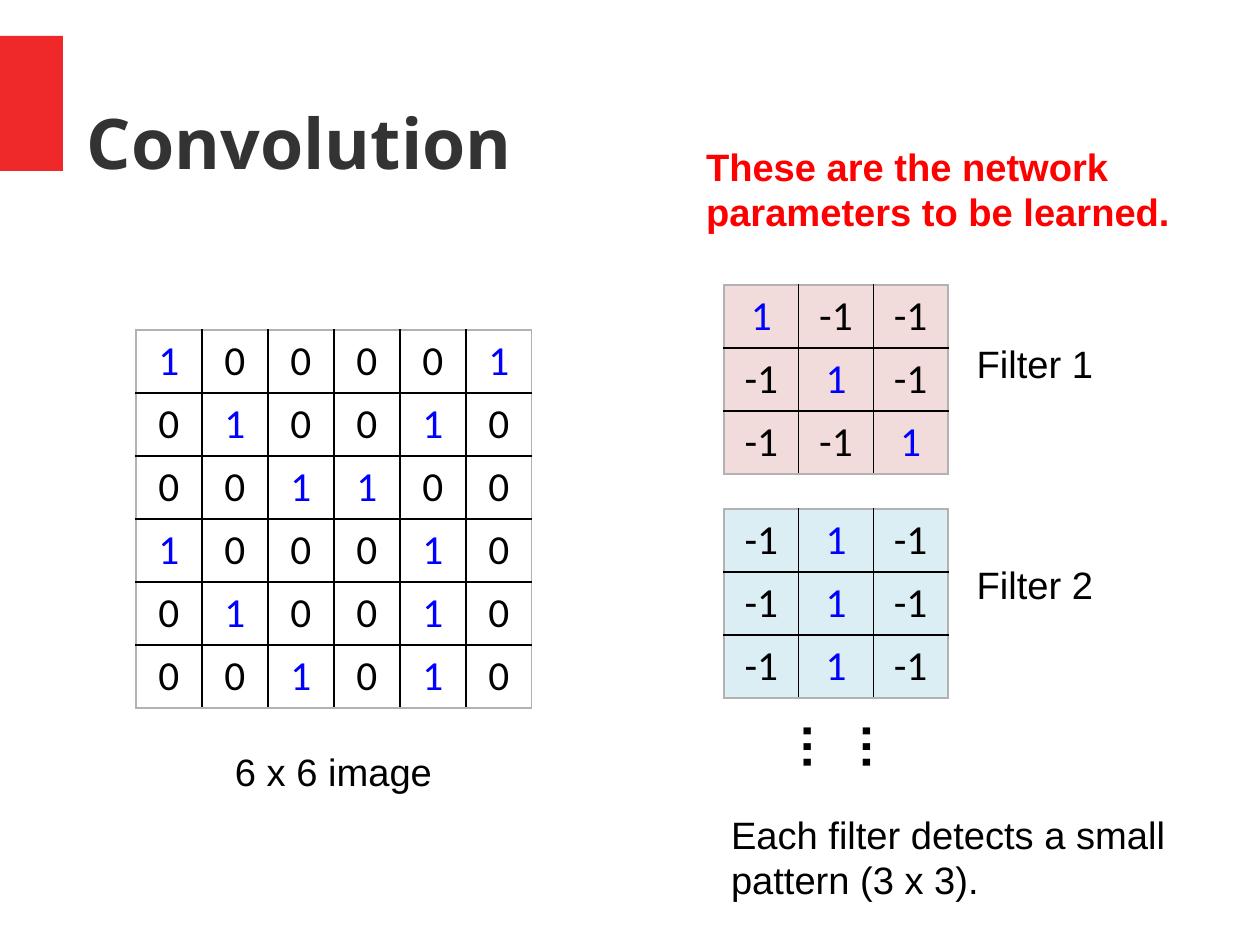
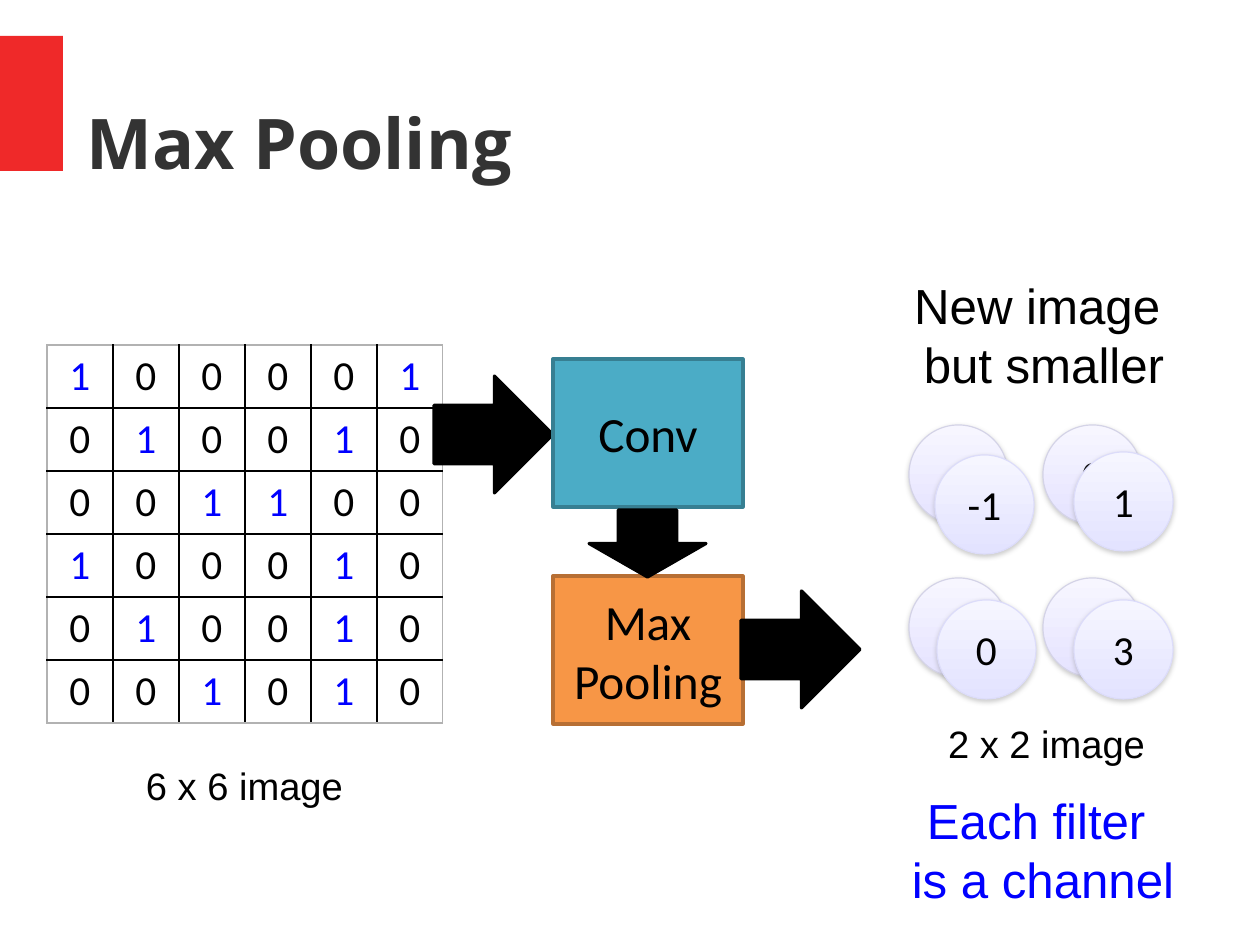
from lxml.etree import SubElement
from pptx import Presentation
from pptx.dml.color import RGBColor
from pptx.enum.shapes import MSO_SHAPE
from pptx.enum.text import MSO_ANCHOR, PP_ALIGN
from pptx.oxml.ns import qn
from pptx.util import Emu, Pt

# Scale: EMU in one px
PX = 8000
SLIDE_SIZE = (1260, 945)

# Colours
RED_BAND = RGBColor(0xEF, 0x29, 0x29)
TITLE_GREY = RGBColor(0x33, 0x33, 0x33)
BLACK = RGBColor(0x00, 0x00, 0x00)
BLUE = RGBColor(0x00, 0x00, 0xFF)
RED = RGBColor(0xFF, 0x00, 0x00)
EDGE_GREY = RGBColor(0xB2, 0xB2, 0xB2)
PINK = RGBColor(0xF2, 0xDC, 0xDB)
PALE_BLUE = RGBColor(0xDB, 0xEE, 0xF4)
TEAL, TEAL_LINE = RGBColor(0x4B, 0xAC, 0xC6), RGBColor(0x37, 0x7F, 0x92)
ORANGE, ORANGE_LINE = RGBColor(0xF7, 0x96, 0x46), RGBColor(0xB7, 0x6F, 0x34)
# Gradient top, gradient bottom, outline
BACK_CHANNEL = (RGBColor(0xF7, 0xF6, 0xFF), RGBColor(0xE5, 0xE3, 0xFF), RGBColor(0xD4, 0xD3, 0xE7))
FRONT_CHANNEL = (RGBColor(0xF6, 0xF6, 0xFF), RGBColor(0xE3, 0xE3, 0xFF), RGBColor(0xDC, 0xDC, 0xFA))

TITLE_FONT, BODY_FONT, NUMBER_FONT = "Open Sans", "Arial", "Calibri"
ROW_HEIGHT = 63
CIRCLE_SIZE = 99

# Content
IMAGE = [
    (1, 0, 0, 0, 0, 1),
    (0, 1, 0, 0, 1, 0),
    (0, 0, 1, 1, 0, 0),
    (1, 0, 0, 0, 1, 0),
    (0, 1, 0, 0, 1, 0),
    (0, 0, 1, 0, 1, 0),
]
# Name, values, fill, table top, label top
FILTERS = [
    ("Filter 1", [(1, -1, -1), (-1, 1, -1), (-1, -1, 1)], PINK, 285, 334),
    ("Filter 2", [(-1, 1, -1)] * 3, PALE_BLUE, 509, 555),
]
# Text, left, top
BACK_CIRCLES = [("", 909, 425), ("0", 1043, 425), ("", 1043, 578), ("", 909, 578)]
FRONT_CIRCLES = [("-1", 935, 455), ("1", 1074, 452), ("3", 1074, 600), ("0", 937, 600)]
# Text, top, fill, outline
STAGES = [
    ("Conv", 359, TEAL, TEAL_LINE),
    ("Max\nPooling", 576, ORANGE, ORANGE_LINE),
]
# Box, rotation
ARROWS_AFTER_STAGES = [((741, 591, 119, 117), 0), ((614, 485, 67, 117), 90)]


def px(*lengths):
    return [Emu(length * PX) for length in lengths]


def write(frame, text, size, color=BLACK, font=BODY_FONT, bold=False,
          align=PP_ALIGN.CENTER, margins=(13, 6)):
    frame.word_wrap = True
    frame.margin_left = frame.margin_right = Emu(margins[0] * PX)
    frame.margin_top = frame.margin_bottom = Emu(margins[1] * PX)
    frame.text = text
    for paragraph in frame.paragraphs:
        paragraph.alignment = align
        for run in paragraph.runs:
            run.font.size = Pt(size)
            run.font.name = font
            run.font.bold = bold
            run.font.color.rgb = color


def add_text(slide, box, text, size=24, **style):
    label = slide.shapes.add_textbox(*px(*box))
    write(label.text_frame, text, size, **style)
    return label


def add_block(slide, preset, box, fill, line, width=2):
    block = slide.shapes.add_shape(preset, *px(*box))
    block.shadow.inherit = False
    block.fill.solid()
    block.fill.fore_color.rgb = fill
    block.line.color.rgb = line
    block.line.width = Pt(width)
    return block


def add_circle(slide, text, left, top, colors):
    start, end, outline = colors
    circle = add_block(slide, MSO_SHAPE.OVAL, (left, top, CIRCLE_SIZE, CIRCLE_SIZE),
                       start, outline, 0.75)
    circle.fill.gradient()
    circle.fill.gradient_angle = 270
    for position, (stop, color) in enumerate(zip(circle.fill.gradient_stops, (start, end))):
        stop.color.rgb = color
        stop.position = position
    # Soft shadow below
    effects = circle._element.spPr.find(qn("a:effectLst"))
    shadow = SubElement(effects, qn("a:outerShdw"), blurRad=str(Pt(3.1)),
                        dist=str(Pt(1.6)), dir="5400000", rotWithShape="0")
    tint = SubElement(shadow, qn("a:srgbClr"), val="808080")
    SubElement(tint, qn("a:alpha"), val="38000")
    if text:
        write(circle.text_frame, text, 26, font=NUMBER_FONT)


def set_borders(cell, edges):
    props = cell._tc.get_or_add_tcPr()
    for position, (side, is_outer) in enumerate(edges):
        line = props.makeelement(qn("a:" + side), {"w": str(Pt(1))})
        fill = SubElement(line, qn("a:solidFill"))
        SubElement(fill, qn("a:srgbClr"), val=str(EDGE_GREY if is_outer else BLACK))
        props.insert(position, line)


def add_matrix(slide, values, left, top, width, fill=None):
    rows, cols = len(values), len(values[0])
    table = slide.shapes.add_table(
        rows, cols, *px(left, top, width, rows * ROW_HEIGHT)).table
    table.first_row = table.horz_banding = False
    for r, row in enumerate(values):
        for c, value in enumerate(row):
            cell = table.cell(r, c)
            write(cell.text_frame, str(value), 26, BLUE if value == 1 else BLACK,
                  NUMBER_FONT)
            cell.margin_left = cell.margin_right = Emu(13 * PX)
            cell.margin_top = cell.margin_bottom = Emu(6 * PX)
            if fill is None:
                cell.fill.background()
            else:
                cell.fill.solid()
                cell.fill.fore_color.rgb = fill
            set_borders(cell, [("lnL", c == 0), ("lnR", c == cols - 1),
                               ("lnT", r == 0), ("lnB", r == rows - 1)])


def add_titled_slide(deck, title):
    slide = deck.slides.add_slide(deck.slide_layouts[6])
    band = add_block(slide, MSO_SHAPE.RECTANGLE, (0, 36, 63, 135), RED_BAND, RED_BAND)
    band.line.fill.background()
    heading = add_text(slide, (87, 50, 1087, 183), title, 44, color=TITLE_GREY,
                       font=TITLE_FONT, bold=True, align=PP_ALIGN.LEFT, margins=(0, 0))
    heading.text_frame.vertical_anchor = MSO_ANCHOR.MIDDLE
    return slide


def build_convolution(deck):
    slide = add_titled_slide(deck, "Convolution")
    add_matrix(slide, IMAGE, 136, 330, 396)
    add_text(slide, (172, 742, 323, 59), "6 x 6 image")
    for name, values, fill, top, label_top in FILTERS:
        add_matrix(slide, values, 724, top, 224, fill)
        add_text(slide, (935, label_top, 200, 59), name)
    more_filters = add_text(slide, (804, 692, 97, 131), "……", 31, bold=True,
                            align=PP_ALIGN.LEFT)
    more_filters.rotation = 90
    add_text(slide, (693, 137, 546, 105), "These are the network parameters to be learned.",
             color=RED, bold=True, align=PP_ALIGN.LEFT)
    add_text(slide, (718, 805, 490, 105), "Each filter detects a small pattern (3 x 3).",
             align=PP_ALIGN.LEFT)


def build_max_pooling(deck):
    slide = add_titled_slide(deck, "Max Pooling")
    add_matrix(slide, IMAGE, 47, 345, 396)
    add_text(slide, (83, 756, 323, 59), "6 x 6 image")

    # Two overlapping channels of the new image
    for circles, colors in ((BACK_CIRCLES, BACK_CHANNEL), (FRONT_CIRCLES, FRONT_CHANNEL)):
        for text, left, top in circles:
            add_circle(slide, text, left, top, colors)
    add_text(slide, (885, 714, 323, 59), "2 x 2 image")
    add_text(slide, (887, 784, 312, 131), "Each filter \nis a channel", 31, color=BLUE)

    # Flow from image through both stages
    add_block(slide, MSO_SHAPE.RIGHT_ARROW, (434, 376, 119, 117), BLACK, BLACK)
    add_text(slide, (887, 269, 314, 131), "New image \nbut smaller", 31)
    for text, top, fill, outline in STAGES:
        stage = add_block(slide, MSO_SHAPE.RECTANGLE, (553, top, 190, 148), fill, outline)
        write(stage.text_frame, text, 31, font=NUMBER_FONT)
    for box, rotation in ARROWS_AFTER_STAGES:
        arrow = add_block(slide, MSO_SHAPE.RIGHT_ARROW, box, BLACK, BLACK)
        arrow.rotation = rotation


def main():
    deck = Presentation()
    deck.slide_width, deck.slide_height = px(*SLIDE_SIZE)
    build_convolution(deck)
    build_max_pooling(deck)
    deck.save("out.pptx")


if __name__ == "__main__":
    main()
